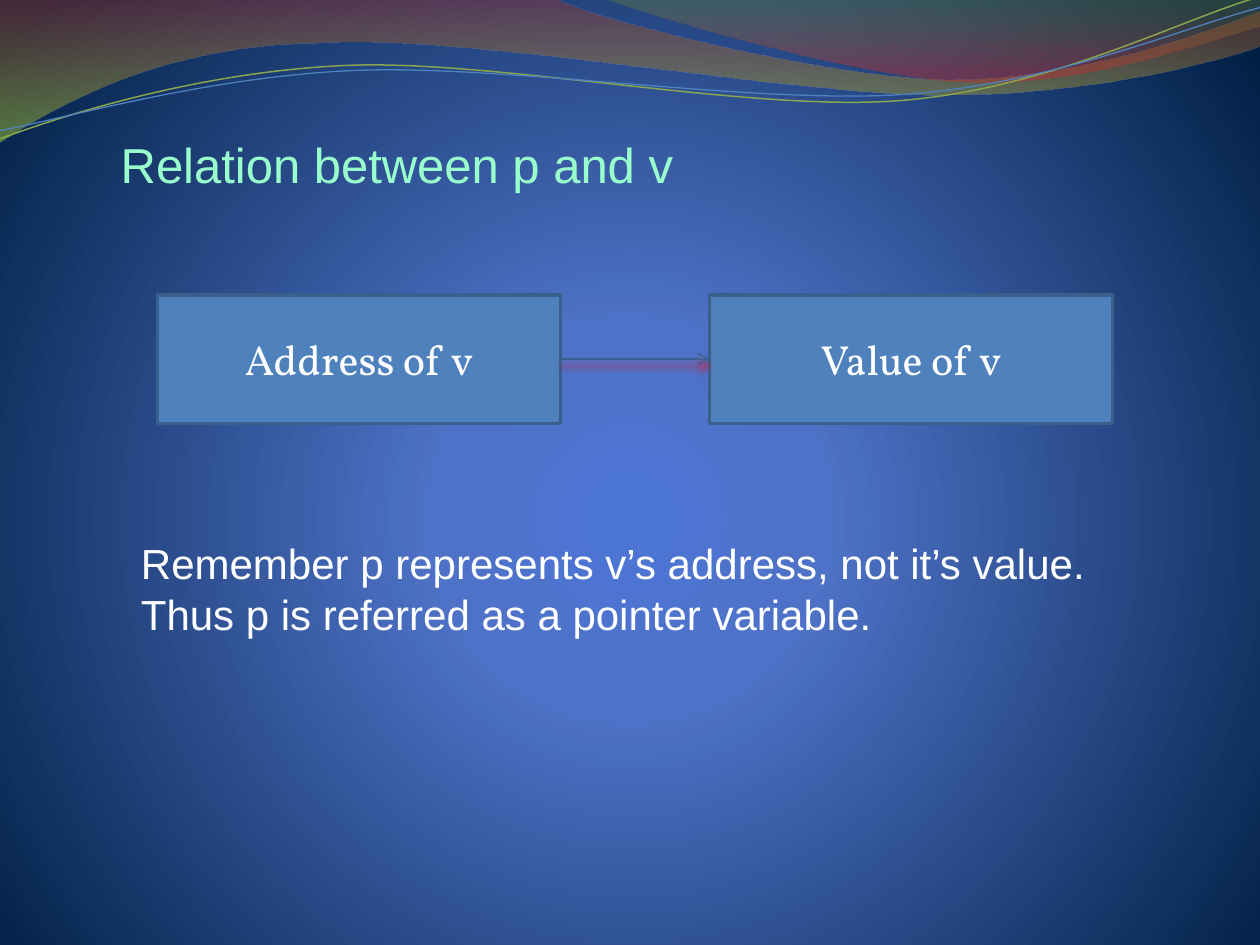
from lxml import etree
from pptx import Presentation
from pptx import util as u
from pptx.dml.color import RGBColor
from pptx.enum import shapes, text
from pptx.oxml import parse_xml
from pptx.oxml.ns import nsdecls, qn

PX = 9144  # EMU in one px, at 100 px to the inch
COLOURS = {
    "centre": "4D75D6", "middle": "4E72C7", "edge": "001F44",
    "red": "973330", "lime": "95C238", "olive": "769537", "rose": "BE3330",
    "green line": "89A54F", "blue": "4F81BD", "border": "3A5F8C",
    "arrow": "395F8D", "glow": "FF0000", "title": "99FFCC", "white": "FFFFFF",
}
DOWN = '<a:lin ang="5400000" scaled="0"/>'
FROM_CENTRE = ('<a:path path="circle"><a:fillToRect l="10000" t="110000" '
               'r="10000" b="100000"/></a:path>')


def set_gradient(element, stops, direction):
    """Swap the first solid fill for stops of (percent, colour, opacity)."""
    marks = "".join(
        f'<a:gs pos="{place * 1000}"><a:srgbClr val="{COLOURS[name]}">'
        f'<a:alpha val="{opacity * 1000}"/></a:srgbClr></a:gs>'
        for place, name, opacity in stops)
    solid = element.find(".//" + qn("a:solidFill"))
    solid.getparent().replace(solid, parse_xml(
        f'<a:gradFill {nsdecls("a")} rotWithShape="1"><a:gsLst>{marks}'
        f'</a:gsLst>{direction}</a:gradFill>'))


def add_outline(start, steps, close):
    """Draw steps of 2 numbers (a line) or 6 numbers (a cubic curve)."""
    builder = page.shapes.build_freeform(*start, scale=PX)
    for step in steps:
        builder.add_line_segments(list(zip(step[::2], step[1::2])), close=False)
    if close:
        builder.add_line_segments([], close=True)
    outline = builder.convert_to_shape()
    outline.shadow.inherit = False
    lines = iter(outline.element.findall(".//" + qn("a:lnTo")))
    for step in steps:
        group = [next(lines) for _ in step[::2]]
        if len(group) == 3:
            curve = etree.Element(qn("a:cubicBezTo"))
            group[0].addprevious(curve)
            for line in group:
                curve.append(line[0])
                line.getparent().remove(line)
    return outline


deck = Presentation()
deck.slide_width, deck.slide_height = 1000 * PX, 750 * PX
page = deck.slides.add_slide(deck.slide_layouts[6])
page.background.fill.solid()
page.background.fill.fore_color.rgb = RGBColor.from_string(COLOURS["edge"])
set_gradient(page.element, [(0, "centre", 100), (25, "middle", 100), (100, "edge", 100)],
             FROM_CENTRE)

# Filled waves along the top edge
waves = [
    ((0, -1), [(440, -1), (476, 17, 664, 63, 758, 63), (853, 63, 958, 26, 1000, 9),
               (1001, 36), (983, 44, 870, 76, 746, 75), (622, 75, 382, 28, 257, 34),
               (129, 35, 46, 83, -1, 113)],
     [(0, "red", 45), (100, "lime", 55)]),
    ((479, -1), [(509, 11, 682, 62, 769, 65), (856, 69, 961, 32, 1000, 21), (1000, 0)],
     [(0, "olive", 30), (80, "rose", 45)]),
]
for start, steps, stops in waves:
    wave = add_outline(start, steps, close=True)
    wave.fill.solid()
    wave.line.fill.background()
    set_gradient(wave.element, stops, DOWN)

# Thin lines that follow the waves
strands = [
    ((-2, 111), [(46, 93, 156, 57, 275, 52), (393, 47, 593, 89, 713, 80),
                 (833, 71, 938, 15, 998, -2)], "green line", 0.85),
    ((-2, 104), [(45, 96, 162, 61, 281, 56), (401, 51, 597, 83, 717, 75),
                 (836, 67, 941, 21, 1000, 6)], "blue", 0.75),
]
for start, steps, colour, width in strands:
    strand = add_outline(start, steps, close=False)
    strand.fill.background()
    strand.line.color.rgb = RGBColor.from_string(COLOURS[colour])
    strand.line.width = u.Pt(width)

# Title, the two boxes and the remark
TEXT_BOX = {"word_wrap": True, "auto_size": text.MSO_AUTO_SIZE.SHAPE_TO_FIT_TEXT}
NODE = {"word_wrap": True, "vertical_anchor": text.MSO_ANCHOR.MIDDLE}
LEFT, CENTRE = text.PP_ALIGN.LEFT, text.PP_ALIGN.CENTER
TITLE_FONT = {"size": u.Pt(28), "name": "Arial"}
NODE_FONT = {"size": u.Pt(24), "name": "Vollkorn"}
BODY_FONT = {"size": u.Pt(24), "name": "Arial"}
items = [
    ("Relation between p and v", (86, 102, 570, 57), TEXT_BOX, LEFT, "title", TITLE_FONT),
    ("Address of v", (125, 234, 320, 102), NODE, CENTRE, "white", NODE_FONT),
    ("Value of v", (563, 234, 320, 102), NODE, CENTRE, "white", NODE_FONT),
    ("Remember p represents v’s address, not it’s value. "
     "Thus p is referred as a pointer variable.",
     (102, 422, 828, 91), TEXT_BOX, LEFT, "white", BODY_FONT),
]
for words, place, frame_format, align, colour, font_format in items:
    place = [length * PX for length in place]
    if frame_format is NODE:
        box = page.shapes.add_shape(shapes.MSO_SHAPE.RECTANGLE, *place)
        box.shadow.inherit = False
        box.fill.solid()
        box.fill.fore_color.rgb = RGBColor.from_string(COLOURS["blue"])
        box.line.color.rgb = RGBColor.from_string(COLOURS["border"])
        box.line.width = u.Pt(2)
    else:
        box = page.shapes.add_textbox(*place)
    for name, value in frame_format.items():
        setattr(box.text_frame, name, value)
    para = box.text_frame.paragraphs[0]
    para.alignment = align
    span = para.add_run()
    span.text = words
    span.font.color.rgb = RGBColor.from_string(COLOURS[colour])
    for name, value in font_format.items():
        setattr(span.font, name, value)

# Arrow from the address to the value, with a red shadow below it
arrow = page.shapes.add_connector(shapes.MSO_CONNECTOR.STRAIGHT,
                                  445 * PX, 285 * PX, 563 * PX, 285 * PX)
arrow.line.color.rgb = RGBColor.from_string(COLOURS["arrow"])
arrow.line.width = u.Pt(0.75)
etree.SubElement(arrow.element.spPr.find(qn("a:ln")), qn("a:tailEnd"), type="arrow")
arrow.element.spPr.append(parse_xml(
    f'<a:effectLst {nsdecls("a")}><a:outerShdw blurRad="{u.Pt(4)}" dist="{u.Pt(4)}" '
    f'dir="5400000" rotWithShape="0"><a:srgbClr val="{COLOURS["glow"]}"/>'
    f'</a:outerShdw></a:effectLst>'))

deck.save("out.pptx")
